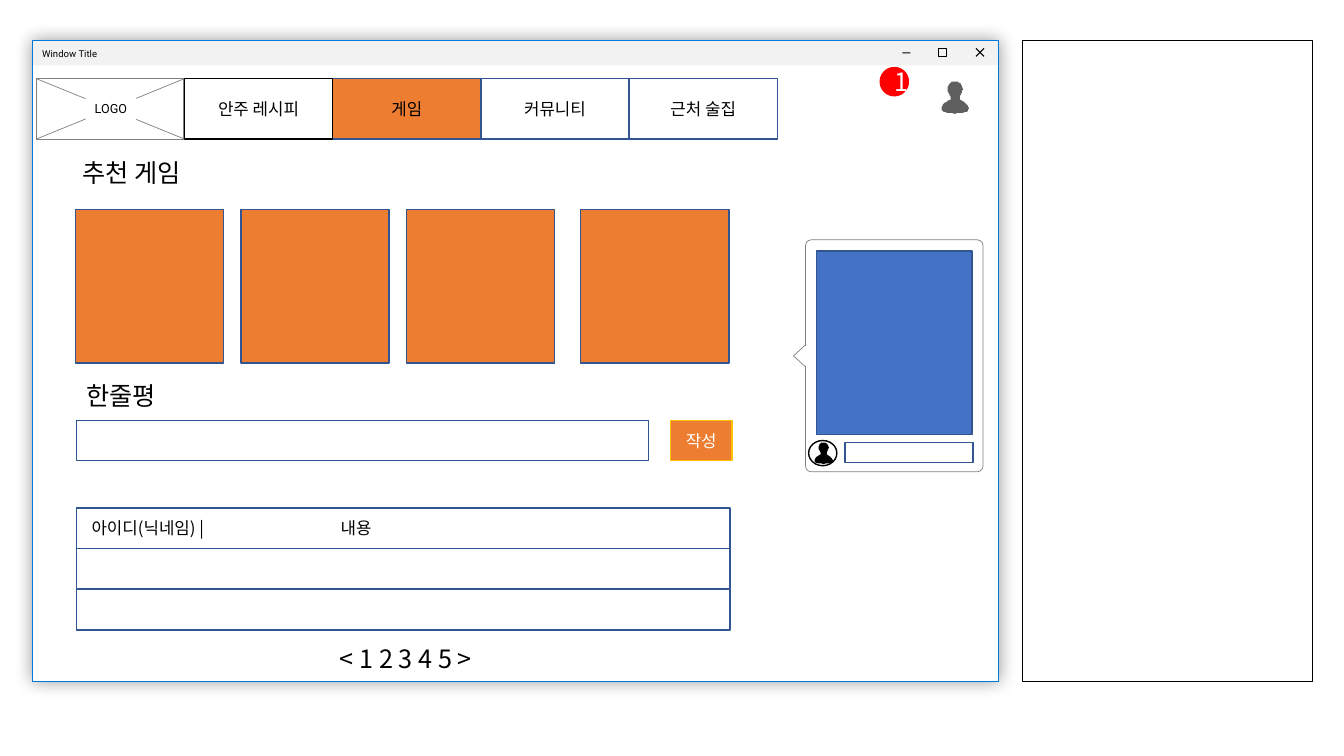
"""Builds a wireframe slide of a game page with navigation, reviews and a chat bubble."""
from dataclasses import dataclass
from lxml.etree import SubElement
from pptx import Presentation
from pptx.dml.color import RGBColor
from pptx.enum.shapes import MSO_CONNECTOR, MSO_SHAPE
from pptx.enum.text import MSO_ANCHOR, MSO_AUTO_SIZE, PP_ALIGN
from pptx.oxml import parse_xml
from pptx.oxml.ns import nsdecls, qn
from pptx.util import Inches, Pt


@dataclass(frozen=True)
class Theme:
    korean: str = "Noto Sans CJK KR"
    latin: str = "Roboto"
    heading: float = 18
    body: float = 12
    logo: float = 9
    caption: float = 6.8
    black: str = "000000"
    white: str = "FFFFFF"
    orange: str = "ED7D31"
    blue: str = "4472C4"
    navy: str = "325491"
    yellow: str = "FFC000"
    red: str = "FF0000"
    gray: str = "808080"
    dark_gray: str = "5F5F5F"
    bar: str = "F2F2F2"
    frame: str = "0078D7"


theme = Theme()
deck = Presentation()
deck.slide_width, deck.slide_height = Inches(13.33), Inches(7.5)
slide = deck.slides.add_slide(deck.slide_layouts[5])
shapes = slide.shapes


def box(place, fill=None, line=None, width=1, kind=MSO_SHAPE.RECTANGLE):
    """Add a preset shape with flat fill and line."""
    shape = shapes.add_shape(kind, *map(Inches, place))
    shape.shadow.inherit = False
    if fill:
        shape.fill.solid()
        shape.fill.fore_color.rgb = RGBColor.from_string(fill)
    else:
        shape.fill.background()
    if line:
        shape.line.color.rgb = RGBColor.from_string(line)
        shape.line.width = Pt(width)
    else:
        shape.line.fill.background()
    return shape


def write(shape, text, size, color=theme.black, face=theme.korean,
          align=PP_ALIGN.CENTER, anchor=MSO_ANCHOR.MIDDLE, wrap=True):
    """Fill a shape with one formatted paragraph."""
    frame = shape.text_frame
    frame.word_wrap = wrap
    frame.vertical_anchor = anchor
    paragraph = frame.paragraphs[0]
    paragraph.text = text
    paragraph.alignment = align
    if "\t" in text:
        stops = SubElement(paragraph._p.get_or_add_pPr(), qn("a:tabLst"))
        SubElement(stops, qn("a:tab"), pos=str(Inches(2.47)), algn="l")
    font = paragraph.font
    font.size, font.name, font.bold = Pt(size), face, False
    font.color.rgb = RGBColor.from_string(color)
    SubElement(font._element, qn("a:ea"), typeface=face)
    return frame


box((10.14, 0.4, 2.88, 6.36), line=theme.black, width=0.75)

window_place = (0.32, 0.4, 9.58, 6.36)
window = box(window_place, theme.white, theme.frame, 0.5)
window_effects = window._element.spPr.find(qn("a:effectLst"))
window_effects.append(parse_xml(
    f'<a:outerShdw {nsdecls("a")} blurRad="{Pt(12)}" dist="0" algn="ctr" rotWithShape="0">'
    f'<a:srgbClr val="{theme.black}"><a:alpha val="40000"/></a:srgbClr></a:outerShdw>'))
title_bar = box((0.32, 0.4, 9.58, 0.25), theme.bar)
write(title_bar, "Window Title", theme.caption, face=theme.latin, align=PP_ALIGN.LEFT)
title_bar.text_frame.margin_top = Inches(0.06)
box((8.95, 0.52, 0.08, 0.01), theme.black)
box((9.31, 0.48, 0.08, 0.08), line=theme.black, width=0.75)
box(window_place, line=theme.frame, width=0.5)

badge = box((8.73, 0.67, 0.28, 0.28), theme.red, theme.red, kind=MSO_SHAPE.OVAL)
write(badge, "1", theme.heading, theme.white)

bubble = box((7.99, 2.38, 1.76, 2.3), theme.white, theme.gray, 0.5, MSO_SHAPE.ROUNDED_RECTANGLE)
bubble.adjustments[0] = 0.031
pointer = box((7.82, 3.47, 0.22, 0.12), theme.white, theme.gray, 0.5, MSO_SHAPE.ISOSCELES_TRIANGLE)
pointer.rotation = 270
box((8.38, 4.39, 1.27, 0.2), theme.white, theme.navy)
box((8.1, 2.49, 1.54, 1.82), theme.blue, theme.navy)
box((8.02, 4.37, 0.28, 0.25), theme.white, theme.black, kind=MSO_SHAPE.OVAL)

head_and_shoulder = [
    ((13.3, 0), (9, 0), (6, 2.5), (6, 7)),
    ((6, 7), (6, 10), (7, 13), (9, 15)),
    ((9, 17), (9, 18), (9, 18), (8, 18.3)),
    ((8, 18.3), (3, 20), (0, 23), (0, 25.5)),
    ((0, 27), (0, 29.5), (5, 31.5), (13.3, 31.5)),
]
steps = [i / 8 for i in range(9)]
left_half = [
    tuple((1 - t) ** 3 * a + 3 * (1 - t) ** 2 * t * b + 3 * (1 - t) * t ** 2 * c + t ** 3 * d
          for a, b, c, d in zip(*curve))
    for curve in head_and_shoulder for t in steps]
right_half = [(26.6 - x, y) for x, y in reversed(left_half)]
for left, top, unit, color in [(9.34, 0.81, 0.01, theme.dark_gray),
                               (8.08, 4.39, 0.0067, theme.black)]:
    outline = shapes.build_freeform(*left_half[0], scale=Inches(unit))
    outline.add_line_segments(left_half[1:] + right_half, close=True)
    person = outline.convert_to_shape(Inches(left), Inches(top))
    person.shadow.inherit = False
    person.fill.solid()
    person.fill.fore_color.rgb = RGBColor.from_string(color)
    person.line.fill.background()

for left in (0.75, 2.39, 4.03, 5.76):
    box((left, 2.08, 1.47, 1.52), theme.orange, theme.navy)

heading = shapes.title
heading.element.getparent().append(heading.element)
reviews = shapes.add_textbox(0, 0, 0, 0)
for section, text, place in [(heading, "추천 게임", (0.72, 1.51, 1.3, 0.4)),
                             (reviews, "한줄평", (0.76, 3.72, 0.96, 0.4))]:
    section.left, section.top, section.width, section.height = map(Inches, place)
    write(section, text, theme.heading, align=PP_ALIGN.LEFT,
          anchor=MSO_ANCHOR.TOP, wrap=False).auto_size = MSO_AUTO_SIZE.NONE

box((0.76, 4.17, 5.67, 0.4), theme.white, theme.navy)
submit = box((6.65, 4.17, 0.61, 0.4), theme.orange, theme.yellow)
write(submit, "작성", theme.body, theme.white)
for row in range(3):
    box((0.76, 5.04 + row * 0.405, 6.48, 0.4), theme.white, theme.navy)
pages = box((1.87, 6.34, 4.31, 0.38), theme.white)
write(pages, "< 1 2 3 4 5 >", theme.heading)
columns = shapes.add_textbox(*map(Inches, (0.81, 5.09, 3.66, 0.3)))
write(columns, "아이디(닉네임) |\t내용", theme.body, align=PP_ALIGN.LEFT, anchor=MSO_ANCHOR.TOP)

box((0.36, 0.78, 1.46, 0.6), theme.white, theme.gray, 0.5)
for ends, color, width in [
    ((0.36, 1.38, 1.83, 0.78), theme.gray, 0.5),
    ((0.36, 0.78, 1.83, 1.38), theme.gray, 0.5),
    ((9.68, 0.48, 9.76, 0.56), theme.black, 0.75),
    ((9.68, 0.56, 9.76, 0.48), theme.black, 0.75),
    ((7.99, 3.43, 7.99, 3.63), theme.white, 0.5),
]:
    stroke = shapes.add_connector(MSO_CONNECTOR.STRAIGHT, *map(Inches, ends))
    stroke.line.color.rgb = RGBColor.from_string(color)
    stroke.line.width = Pt(width)
    SubElement(stroke._element.spPr, qn("a:effectLst"))
logo = box((0.85, 0.96, 0.5, 0.23), theme.white)
logo_frame = write(logo, "LOGO", theme.logo, face=theme.latin, wrap=False)
logo_frame.margin_left = logo_frame.margin_right = Inches(0.08)
logo_frame.margin_top = logo_frame.margin_bottom = Inches(0.04)

for slot, text, fill, line in [
    (1, "게임", theme.orange, theme.navy),
    (2, "커뮤니티", theme.white, theme.navy),
    (3, "근처 술집", theme.white, theme.navy),
    (0, "안주 레시피", theme.white, theme.black),
]:
    write(box((1.83 + slot * 1.47, 0.78, 1.47, 0.6), fill, line), text, theme.body)

deck.save("out.pptx")
